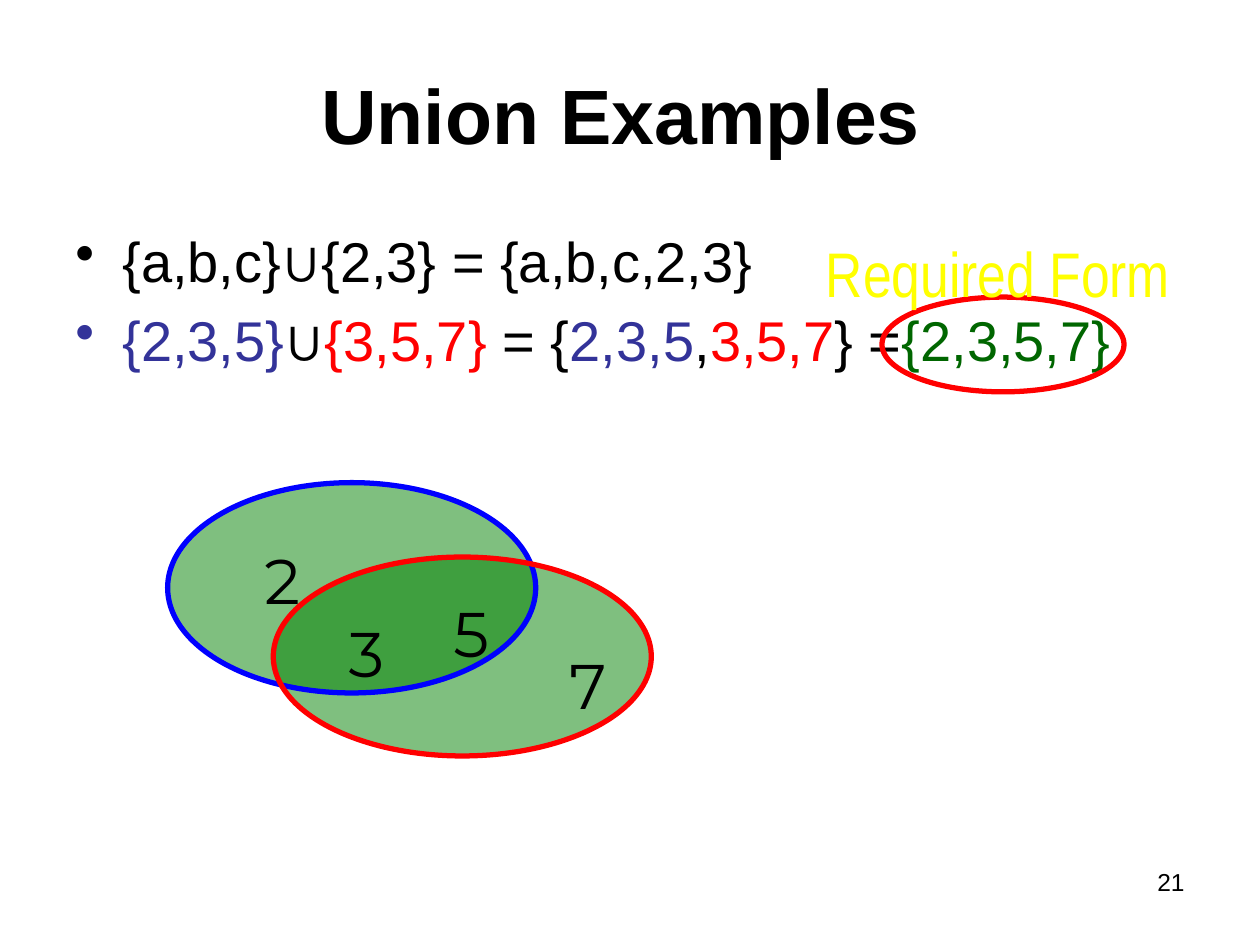
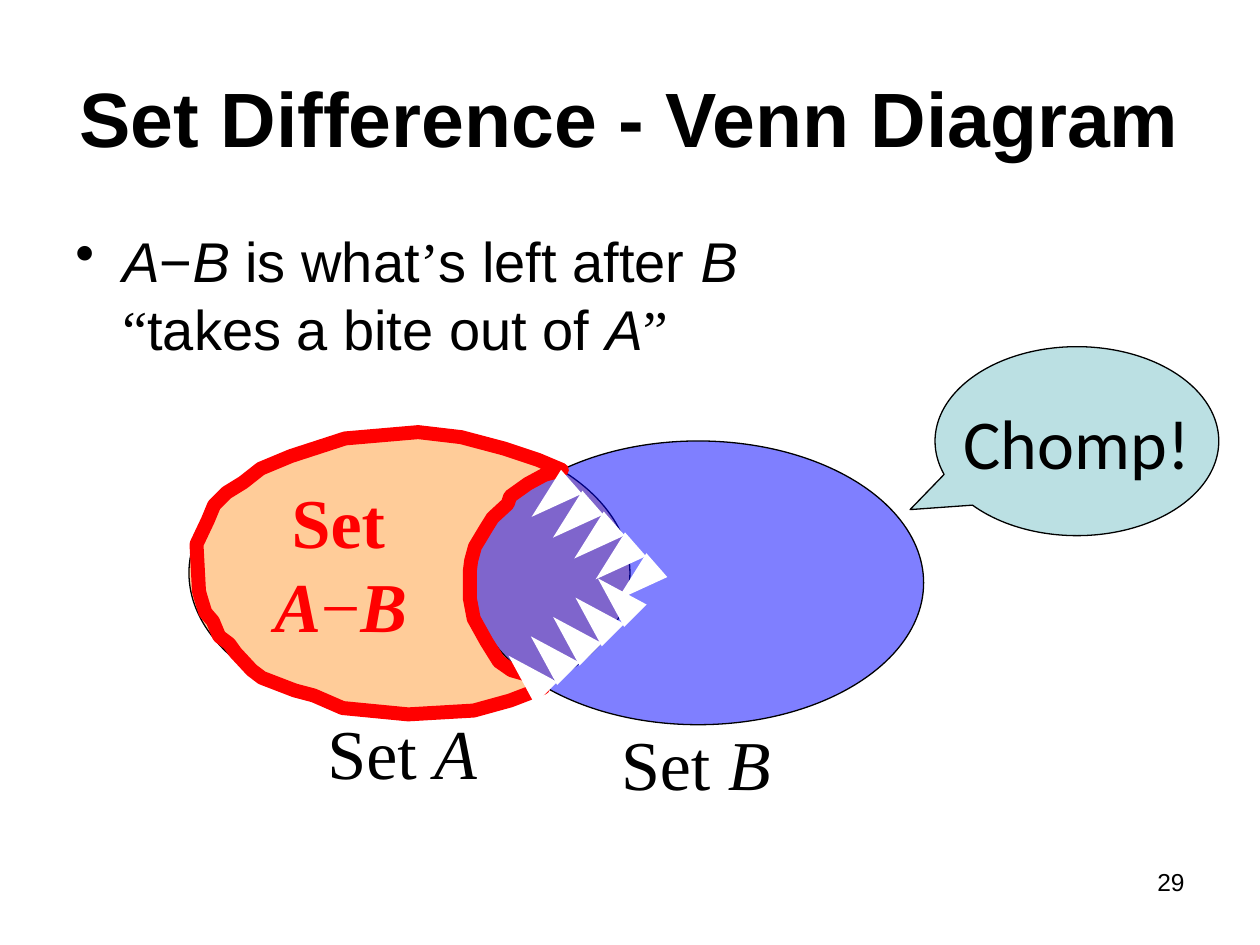
from lxml.etree import SubElement
from pptx import Presentation
from pptx.dml.color import RGBColor
from pptx.enum.shapes import MSO_SHAPE as SHAPE
from pptx.enum.text import MSO_ANCHOR as ANCHOR, MSO_AUTO_SIZE as AUTO_SIZE, PP_ALIGN as ALIGN
from pptx.oxml import parse_xml
from pptx.oxml.ns import nsdecls, qn
from pptx.util import Cm, Pt

BLACK = RGBColor(0x00, 0x00, 0x00)
WHITE = RGBColor(0xFF, 0xFF, 0xFF)
RED = RGBColor(0xFF, 0x00, 0x00)
BLUE = RGBColor(0x00, 0x00, 0xFF)
INDIGO = RGBColor(0x33, 0x33, 0x99)
GREEN = RGBColor(0x00, 0x80, 0x00)
DARK_GREEN = RGBColor(0x00, 0x66, 0x00)
YELLOW = RGBColor(0xFF, 0xFF, 0x00)
PEACH = RGBColor(0xFF, 0xCC, 0x99)
PALE_TEAL = RGBColor(0xBB, 0xE0, 0xE3)

SANS = "Arial"
SERIF = "Times New Roman"
ITALIC = {"italic": True}
QUOTE = {"name": SERIF}
BREAK = ("\n", {})

TOOTH_SIZE = (0.64, 1.07)
DIGIT_SIZE = (0.64, 1.07)

# Corners of the bitten-off set, in hundredths of an inch
BITE_UNIT = Cm(2.54) / 100
BITE_OUTLINE = [
    (234, 548), (208, 538), (200, 532), (187, 518), (182, 511), (174, 505),
    (169, 493), (163, 486), (159, 473), (158, 469), (156, 432), (165, 413),
    (170, 401), (180, 391), (193, 383), (207, 372), (231, 362), (274, 348),
    (332, 343), (366, 347), (400, 356), (427, 365), (446, 373), (432, 377),
    (419, 384), (405, 394), (403, 400), (391, 411), (386, 419), (377, 434),
    (374, 445), (373, 453), (373, 475), (376, 491), (386, 509), (396, 525),
    (406, 532), (420, 536), (431, 546), (405, 556), (376, 564), (324, 567),
    (272, 562), (249, 552),
]


def box(left, top, width, height):
    return Cm(left), Cm(top), Cm(width), Cm(height)


def set_font(font, size=None, name=None, color=None, bold=None, italic=None):
    if size:
        font.size = Pt(size)
    if name:
        font.name = name
    if color is not None:
        font.color.rgb = color
    if bold is not None:
        font.bold = bold
    if italic is not None:
        font.italic = italic


def write(p, runs, size, name=SANS, color=BLACK, bold=None, align=ALIGN.LEFT):
    """Fill a paragraph from (text, font differences) pairs or a plain string."""
    p.alignment = align
    set_font(p.font, size, name, color, bold)
    for text, changes in [(runs, {})] if isinstance(runs, str) else runs:
        if text == "\n":
            p.add_line_break()
            continue
        r = p.add_run()
        r.text = text
        set_font(r.font, **changes)


def add_text(slide, place, runs, size, wrap=True, **style):
    tf = slide.shapes.add_textbox(*box(*place)).text_frame
    tf.word_wrap = wrap
    write(tf.paragraphs[0], runs, size, **style)


def add_bullets(slide, items):
    tf = slide.shapes.add_textbox(*box(1.27, 4.45, 22.86, 12.57)).text_frame
    tf.word_wrap = True
    for i, runs in enumerate(items):
        p = tf.add_paragraph() if i else tf.paragraphs[0]
        p.space_before = Pt(6.4)
        write(p, runs, 32)
        pPr = p._p.get_or_add_pPr()
        pPr.set("marL", str(Cm(0.95)))
        pPr.set("indent", str(-Cm(0.95)))
        bullet = parse_xml(f'<a:buChar {nsdecls("a")} char="•"/>')
        pPr.insert_element_before(bullet, "a:defRPr")


def paint(sp, fill=None, line=None, width=0.75, alpha=None):
    sp.shadow.inherit = False
    if fill is None:
        sp.fill.background()
    else:
        sp.fill.solid()
        sp.fill.fore_color.rgb = fill
    if alpha is not None:
        color = sp._element.spPr.find(qn("a:solidFill"))[0]
        SubElement(color, qn("a:alpha"), val=str(alpha * 1000))
    if line is None:
        sp.line.fill.background()
    else:
        sp.line.color.rgb = line
        sp.line.width = Pt(width)


def add_ellipse(slide, place, **look):
    paint(slide.shapes.add_shape(SHAPE.OVAL, *box(*place)), **look)


def add_teeth(slide, left, top, step_x, step_y, rotation):
    """Draw a row of five teeth."""
    for i in range(5):
        place = box(left + i * step_x, top + i * step_y, *TOOTH_SIZE)
        sp = slide.shapes.add_shape(SHAPE.ISOSCELES_TRIANGLE, *place)
        sp.rotation = rotation
        paint(sp, fill=WHITE)


def add_bite_outline(slide):
    builder = slide.shapes.build_freeform(*BITE_OUTLINE[0], scale=BITE_UNIT)
    builder.add_line_segments(BITE_OUTLINE[1:], close=True)
    paint(builder.convert_to_shape(), line=RED, width=8)


def add_callout(slide, text):
    sp = slide.shapes.add_shape(SHAPE.OVAL_CALLOUT, *box(18.85, 6.99, 5.72, 3.81))
    sp.adjustments[0], sp.adjustments[1] = -0.588, 0.362
    paint(sp, fill=PALE_TEAL, line=BLACK)
    tf = sp.text_frame
    tf.word_wrap = False
    tf.vertical_anchor = ANCHOR.MIDDLE
    write(tf.paragraphs[0], text, 40, name="Calibri", align=ALIGN.CENTER)


def add_slide(prs, title, left, top, number):
    slide = prs.slides.add_slide(prs.slide_layouts[5])
    sp = slide.shapes.title
    sp.left, sp.top, sp.width, sp.height = box(left, top, 22.86, 3.18)
    tf = sp.text_frame
    tf.auto_size = AUTO_SIZE.NONE
    tf.vertical_anchor = ANCHOR.MIDDLE
    write(tf.paragraphs[0], title, 44, bold=True, align=ALIGN.CENTER)
    add_text(slide, (18.21, 17.35, 5.92, 1.32), str(number), 14, align=ALIGN.RIGHT)
    return slide


def build_union(prs):
    slide = add_slide(prs, "Union Examples", 1.09, 0.71, 21)
    first, second = {"color": INDIGO}, {"color": RED}
    add_bullets(slide, [
        "{a,b,c}∪{2,3} = {a,b,c,2,3}",
        [("{2,3,5}", first), ("∪", {}), ("{3,5,7}", second), (" = {", {}),
         ("2,3,5", first), (",", {}), ("3,5,7", second), ("} =", {}),
         ("{2,3,5,7}", {"color": DARK_GREEN})],
    ])
    sets = {BLUE: (3.38, 9.73, 7.42, 4.24), RED: (5.51, 11.23, 7.62, 4.01)}
    for place in sets.values():
        add_ellipse(slide, place, fill=GREEN, alpha=50, line=GREEN)
    add_ellipse(slide, (17.78, 5.99, 4.88, 1.91), line=RED, width=3)
    add_text(slide, (16.31, 4.6, 7.62, 1.57), "Required Form", 36, wrap=False,
             name="Arial Narrow", color=YELLOW, align=ALIGN.CENTER)
    for color, place in sets.items():
        add_ellipse(slide, place, line=color, width=3)
    members = {"2": (5.08, 10.8), "3": (6.78, 12.27), "5": (8.89, 11.86), "7": (11.23, 12.9)}
    for digit, corner in members.items():
        add_text(slide, corner + DIGIT_SIZE, digit, 36, wrap=False,
                 name="Montserrat", align=ALIGN.CENTER)


def build_difference(prs):
    slide = add_slide(prs, "Set Difference - Venn Diagram", 1.27, 0.76, 29)
    add_bullets(slide, [
        [("A", ITALIC), ("−", {}), ("B", ITALIC), (" is what", {}), ("’", QUOTE),
         ("s left after ", {}), ("B", ITALIC), BREAK, ("“", QUOTE),
         ("takes a bite out of ", {}), ("A", ITALIC), ("”", QUOTE)],
    ])
    add_ellipse(slide, (3.81, 8.69, 8.89, 5.72), fill=PEACH, line=BLACK)
    add_ellipse(slide, (9.53, 8.89, 9.09, 5.72), fill=BLUE, alpha=50, line=BLACK)
    for letter, left, top in [("A", 6.35, 14.17), ("B", 12.27, 14.4)]:
        add_text(slide, (left, top, 4.01, 1.96), [("Set ", {}), (letter, ITALIC)],
                 40, name=SERIF)
    add_bite_outline(slide)
    add_text(slide, (5.28, 9.53, 4.01, 3.63),
             [(" Set", {}), BREAK, ("A", ITALIC), ("−", {"bold": False}), ("B", ITALIC)],
             40, name=SERIF, color=RED, bold=True)
    add_callout(slide, "Chomp!")
    add_teeth(slide, 10.31, 13.06, 0.45, -0.39, rotation=314.9)
    add_teeth(slide, 10.8, 9.53, 0.43, 0.42, rotation=228.7)


def main():
    prs = Presentation()
    prs.slide_width, prs.slide_height = Cm(25.4), Cm(19.05)
    build_union(prs)
    build_difference(prs)
    prs.save("out.pptx")


if __name__ == "__main__":
    main()
